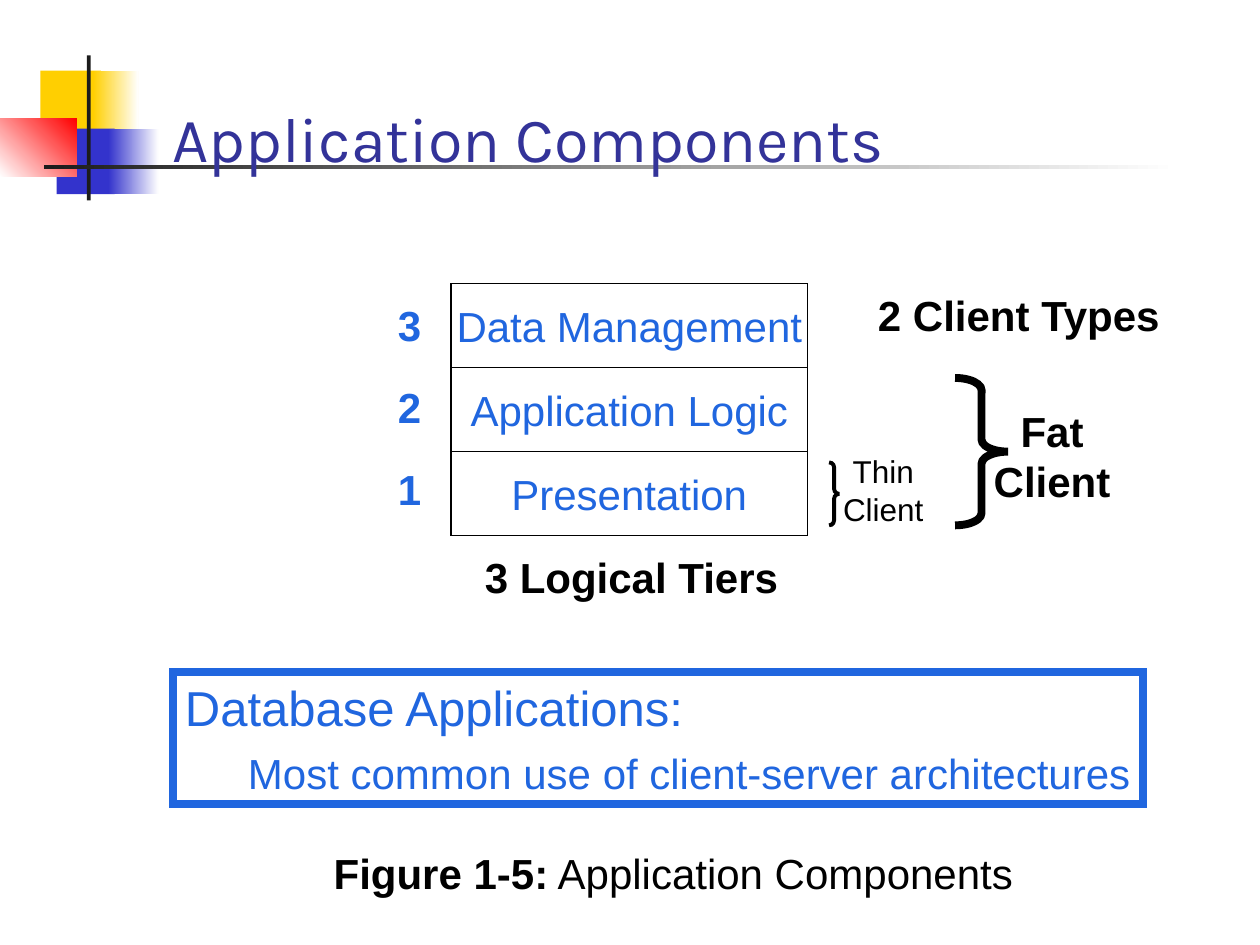
from dataclasses import dataclass

from lxml.etree import SubElement
from pptx import Presentation
from pptx.dml.color import RGBColor
from pptx.enum.shapes import MSO_SHAPE as Preset
from pptx.enum.text import MSO_ANCHOR as Anchor, MSO_AUTO_SIZE as AutoSize, PP_ALIGN as Align
from pptx.oxml.ns import qn
from pptx.util import Inches, Pt


@dataclass(frozen=True)
class Theme:
    black: str = "000000"
    white: str = "FFFFFF"
    ink: str = "1C1C1C"
    blue: str = "2066DF"
    title_blue: str = "333399"
    yellow: str = "FFCF01"
    indigo: str = "3333CC"
    red: str = "FF0000"
    title_font: str = "Karla"
    body_font: str = "Arial"
    title: int = 36
    lead: int = 28
    body: int = 24
    small: int = 18


theme = Theme()
prs = Presentation()
prs.slide_width, prs.slide_height = Inches(10), Inches(7.5)
slide = prs.slides.add_slide(prs.slide_layouts[6])


def add_box(preset, at, fill=None, fade_to=None, angle=0, line=None, width=0.75):
    box = slide.shapes.add_shape(preset, *map(Inches, at))
    box.shadow.inherit = False
    if fade_to:
        box.fill.gradient()
        box.fill.gradient_angle = angle
        for stop, color in zip(box.fill.gradient_stops, (fill, fade_to)):
            stop.color.rgb = RGBColor.from_string(color)
    elif fill:
        box.fill.solid()
        box.fill.fore_color.rgb = RGBColor.from_string(fill)
    else:
        box.fill.background()
    if line:
        box.line.color.rgb = RGBColor.from_string(line)
        box.line.width = Pt(width)
        # Sharp corners
        SubElement(box.element.spPr.find(qn("a:ln")), qn("a:miter")).set("lim", "800000")
    else:
        box.line.fill.background()
    return box


def add_text(target, text, size=theme.body, color=theme.black, font=theme.body_font,
             bold=False, bold_lead="", align=Align.LEFT, anchor=Anchor.TOP,
             wrap=False, grow=True, before=0, margin=0, hanging=0, level=0):
    """Append lines to a shape, or to a new text box if target is a position."""
    if isinstance(target, tuple):
        target = slide.shapes.add_textbox(*map(Inches, target))
    frame = target.text_frame
    frame.word_wrap = wrap
    frame.vertical_anchor = anchor
    frame.auto_size = AutoSize.SHAPE_TO_FIT_TEXT if grow else AutoSize.NONE
    for line in text.split("\n"):
        paragraph = frame.add_paragraph() if frame.text else frame.paragraphs[0]
        paragraph.alignment = align
        paragraph.level = level
        paragraph.space_before = Pt(before)
        properties = paragraph._p.get_or_add_pPr()
        properties.set("marL", str(Inches(margin)))
        properties.set("indent", str(-Inches(hanging)))
        for words, heavy in ((bold_lead, True), (line, bold)):
            if words:
                run = paragraph.add_run()
                run.text = words
                run.font.name, run.font.size, run.font.bold = font, Pt(size), heavy
                run.font.color.rgb = RGBColor.from_string(color)


# Corner decoration
for at, fill, fade_to, angle in (
    ((0.32, 0.56, 0.48, 0.52), theme.yellow, None, 0),
    ((0.74, 0.56, 0.36, 0.52), theme.yellow, theme.white, 0),
    ((0.45, 1.02, 0.46, 0.52), theme.indigo, None, 0),
    ((0.86, 1.02, 0.4, 0.52), theme.indigo, theme.white, 0),
    ((0, 0.94, 0.61, 0.46), theme.white, theme.red, 45),
    ((0.69, 0.44, 0.03, 1.15), theme.ink, None, 0),
    ((0.35, 1.31, 9, 0.03), theme.ink, theme.white, 0),
):
    add_box(Preset.RECTANGLE, at, fill, fade_to, angle)

# Title
add_text((1.27, 0.62, 7.25, 0.82), "Application Components", size=theme.title,
         color=theme.title_blue, font=theme.title_font, anchor=Anchor.BOTTOM,
         wrap=True, grow=False)

# Stack of tiers, numbered from the bottom
tiers = ("Data Management", "Application Logic", "Presentation")
tier_height = 2 / 3
for row, tier in enumerate(tiers):
    tier_box = add_box(Preset.RECTANGLE, (3.58, 2.25 + row * tier_height, 2.83, tier_height),
                       line=theme.black)
    add_text(tier_box, tier, color=theme.blue, align=Align.CENTER,
             anchor=Anchor.MIDDLE, grow=False)
    add_text((3.06, 2.33 + row * 0.65, 0.38, 0.5), str(len(tiers) - row),
             color=theme.blue, bold=True)
add_text((3.75, 4.33, 2.53, 0.5), "3 Logical Tiers", bold=True)

# Client types, each bracing the tiers it covers
for at, width, curve in (
    ((7.58, 3, 0.42, 1.17), 4.5, 0.23),
    ((6.58, 3.67, 0.08, 0.5), 2.25, 0.5),
):
    brace = add_box(Preset.RIGHT_BRACE, at, line=theme.black, width=width)
    brace.adjustments[0] = curve
add_text((6.59, 3.54, 0.84, 0.7), "Thin\nClient", size=theme.small, align=Align.CENTER)
add_text((7.75, 3.17, 1.2, 0.9), "Fat\nClient", bold=True, align=Align.CENTER)
add_text((6.87, 2.25, 2.46, 0.5), "2 Client Types", bold=True)

# Statement on database applications
statement = add_box(Preset.RECTANGLE, (1.37, 5.33, 7.7, 1.05), line=theme.blue, width=4.5)
add_text(statement, "Database Applications:", size=theme.lead, color=theme.blue, before=7)
add_text(statement, "Most common use of client-server architectures",
         color=theme.blue, before=6, margin=0.5, level=1)

# Figure caption
add_text((2.55, 6.68, 5.75, 0.69), " Application Components", bold_lead="Figure 1-5:",
         wrap=True, grow=False, before=6, margin=0.67, hanging=0.67)

prs.save("out.pptx")
